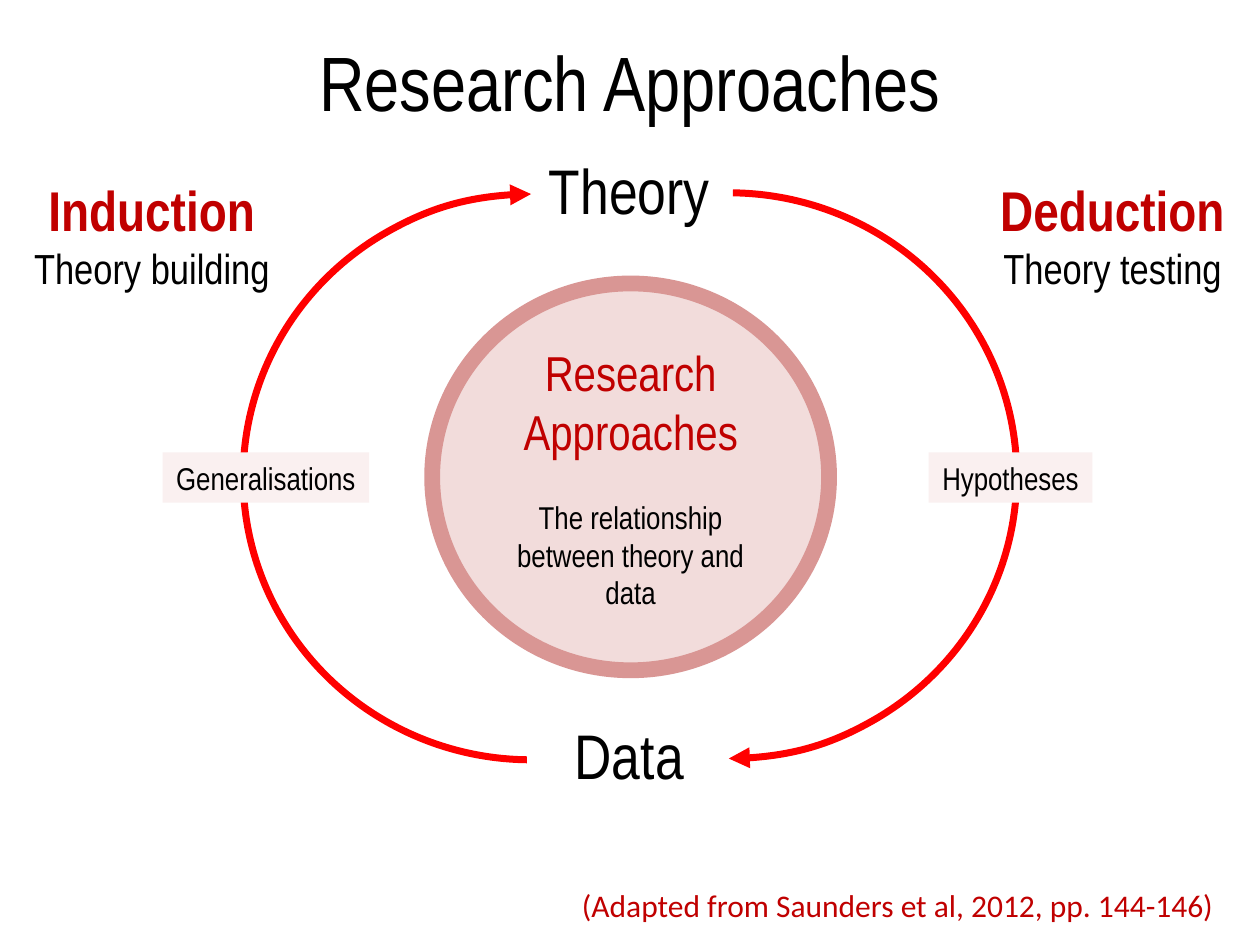
import pptx
import pptx.util
import pptx.dml.color
import pptx.enum.shapes
import pptx.enum.text
import lxml.etree
from pptx.util import Inches

NARROW = "Arial Narrow"
BLACK, DARK_RED, RED = "000000", "C00000", "FF0000"
CENTER = pptx.enum.text.PP_ALIGN.CENTER
RIGHT = pptx.enum.text.PP_ALIGN.RIGHT
MIDDLE = pptx.enum.text.MSO_ANCHOR.MIDDLE
SHAPES = pptx.enum.shapes.MSO_SHAPE


def color(hex_code):
    return pptx.dml.color.RGBColor.from_string(hex_code)


def write(shape, lines, align=CENTER, font=NARROW, wrap=True, middle=False, gap=0):
    """Fill a shape with lines of (text, size, colour, bold); gap separates them."""
    frame = shape.text_frame
    frame.word_wrap = wrap
    if middle:
        frame.vertical_anchor = MIDDLE
    else:
        frame.auto_size = pptx.enum.text.MSO_AUTO_SIZE.SHAPE_TO_FIT_TEXT
    for index, (text, size, hex_code, bold) in enumerate(lines):
        paragraph = frame.paragraphs[0] if index == 0 else frame.add_paragraph()
        paragraph.alignment = align
        if index:
            paragraph.space_before = pptx.util.Pt(gap)
        run = paragraph.add_run()
        run.text = text
        run.font.name = font
        run.font.size = pptx.util.Pt(size)
        run.font.bold = bold
        run.font.color.rgb = color(hex_code)


def add_text(slide, box, lines, **options):
    write(slide.shapes.add_textbox(*map(Inches, box)), lines, **options)


def add_filled(slide, preset, box, fill, lines, outline=None, **options):
    shape = slide.shapes.add_shape(preset, *map(Inches, box))
    shape.shadow.inherit = False
    shape.fill.solid()
    shape.fill.fore_color.rgb = color(fill)
    if outline:
        shape.line.color.rgb = color(outline)
        shape.line.width = pptx.util.Pt(9)
    else:
        shape.line.fill.background()
    write(shape, lines, **options)


def add_cycle_arrow(slide, left, top, rotation):
    """Half circle mirrored to the left side, with the arrowhead at its start."""
    arc = slide.shapes.add_shape(
        SHAPES.ARC, Inches(left), Inches(top), Inches(4.57), Inches(4.49))
    arc.adjustments[0] = 162
    arc.adjustments[1] = 53.5
    arc.rotation = rotation
    arc.shadow.inherit = False
    arc.fill.background()
    arc.line.color.rgb = color(RED)
    arc.line.width = pptx.util.Pt(4)
    properties = arc._element.spPr
    properties.xfrm.set("flipH", "1")
    line = properties.find(pptx.oxml.ns.qn("a:ln"))
    lxml.etree.SubElement(line, pptx.oxml.ns.qn("a:headEnd"), type="triangle")


def main():
    deck = pptx.Presentation()
    deck.slide_width, deck.slide_height = Inches(10), Inches(7.5)
    slide = deck.slides.add_slide(deck.slide_layouts[6])

    # Title
    add_text(slide, (0.5, 0.21, 9, 0.86),
             [("Research Approaches", 44, BLACK, False)], middle=True)

    # Poles of the cycle
    for pole, top in (("Theory", 1.15), ("Data", 5.64)):
        add_text(slide, (4.13, top, 1.73, 0.71), [(pole, 36, BLACK, False)])

    # Central topic
    add_filled(slide, SHAPES.OVAL, (3.43, 2.25, 3.15, 3.07), "F2DCDB",
               [("Research Approaches", 28, DARK_RED, False),
                ("The relationship between theory and data", 18, BLACK, False)],
               outline="D99694", middle=True, gap=21.6)

    # The two directions: arrow, step on the arrow, heading
    directions = [
        ((1.93, 1.54, 0), "Generalisations", (1.29, 1.64),
         "Induction", "Theory building", (0.16, 2.09)),
        ((3.5, 1.53, 180), "Hypotheses", (7.37, 1.3),
         "Deduction", "Theory testing", (7.83, 2)),
    ]
    for arrow, step, (step_left, step_width), name, aim, (left, width) in directions:
        add_cycle_arrow(slide, *arrow)
        add_filled(slide, SHAPES.RECTANGLE, (step_left, 3.59, step_width, 0.4),
                   "FAF0F0", [(step, 18, BLACK, False)], wrap=False)
        add_text(slide, (left, 1.34, width, 1.04),
                 [(name, 32, DARK_RED, True), (aim, 24, BLACK, False)], wrap=False)

    # Source
    add_text(slide, (3.82, 6.98, 5.91, 0.4),
             [("(Adapted from Saunders et al, 2012, pp. 144-146)", 18, DARK_RED, False)],
             align=RIGHT, font="Calibri")

    deck.save("out.pptx")


if __name__ == "__main__":
    main()
